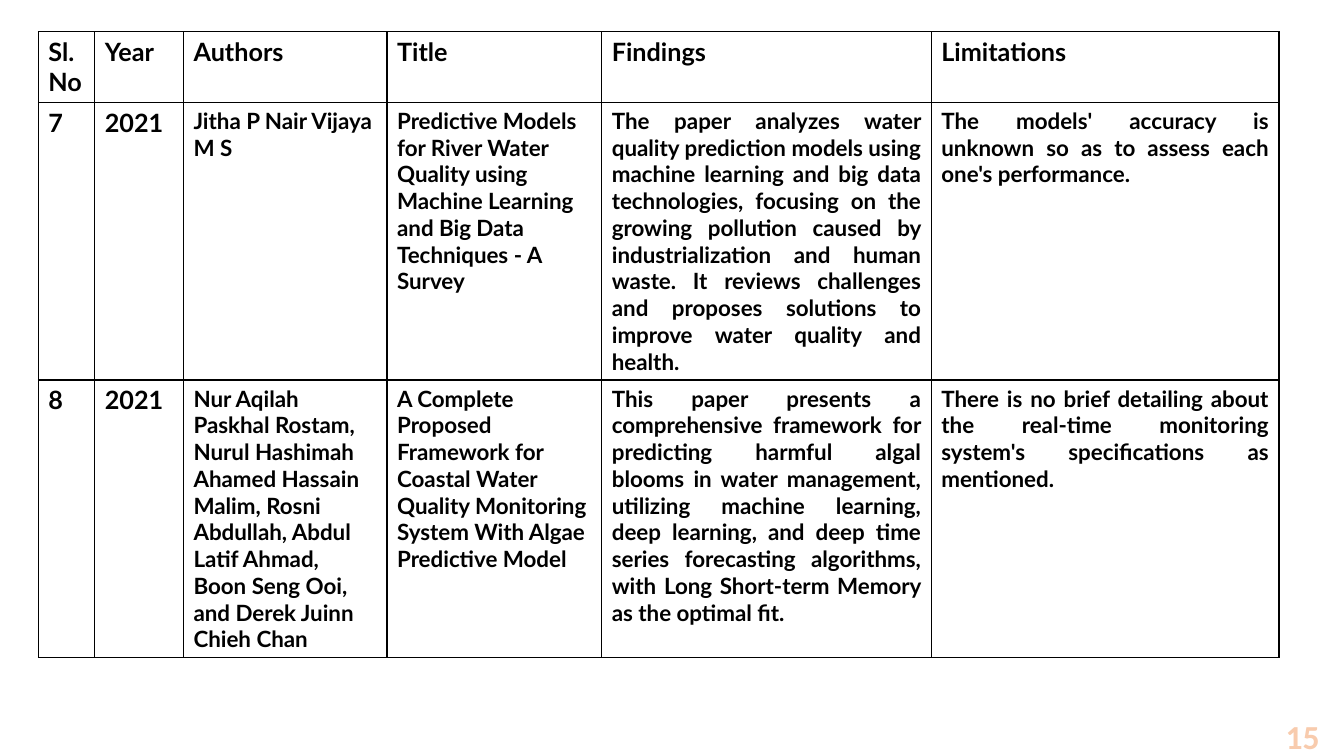
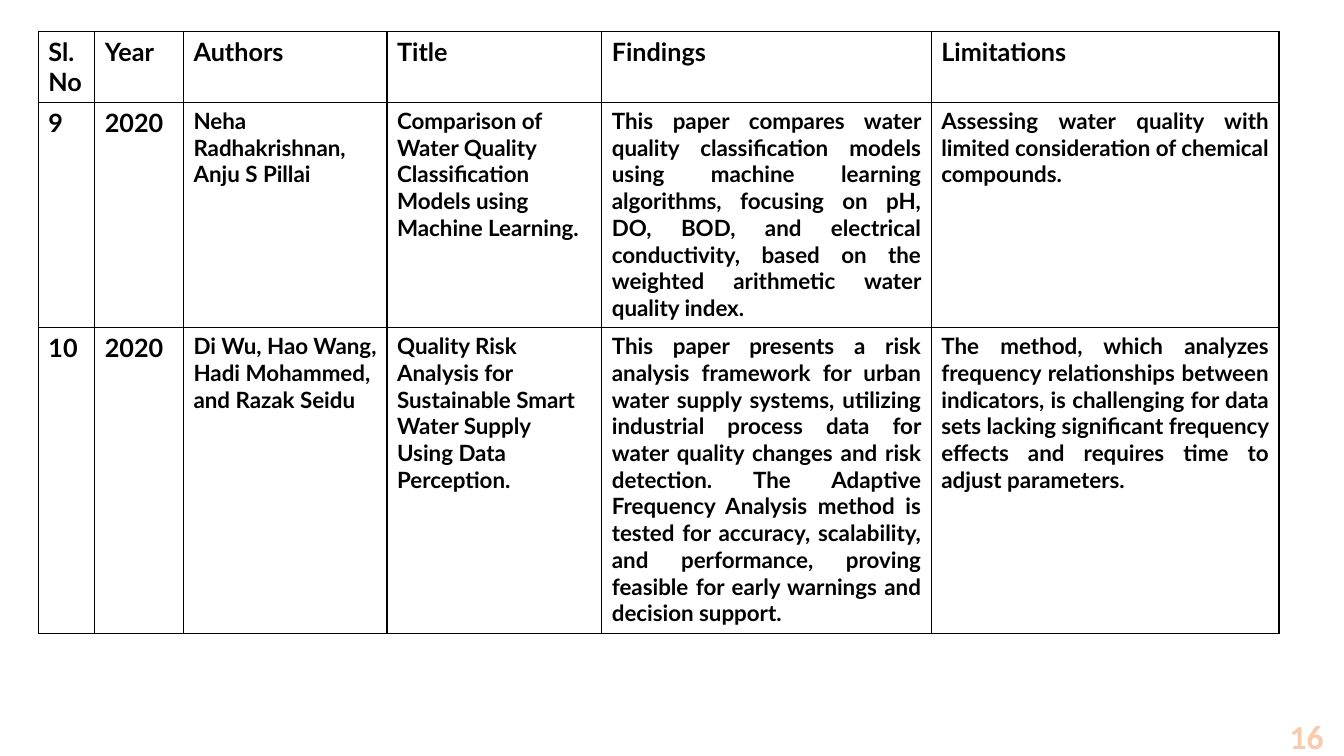
from lxml import etree
from pptx import Presentation
from pptx.dml.color import RGBColor
from pptx.enum.text import MSO_ANCHOR, PP_ALIGN
from pptx.oxml.ns import qn
from pptx.util import Pt

LEFT, RIGHT, JUSTIFY = PP_ALIGN.LEFT, PP_ALIGN.RIGHT, PP_ALIGN.JUSTIFY
MIDDLE = MSO_ANCHOR.MIDDLE

# Shared style
BLACK, PEACH, ORANGE = "000000", "F8CBAD", "ED7D31"
LARGE = {"name": "Lato", "size": Pt(18), "bold": True}
SMALL = {**LARGE, "size": Pt(16)}
PAGE = {"name": "Calibri", "size": Pt(24), "bold": True}
HEADERS = ["Sl.No", "Year", "Authors", "Title", "Findings", "Limitations"]
COLUMN_WIDTHS = [40.3, 63.4, 145.4, 153.4, 235.4, 248.4]
COLUMN_ALIGNS = [LEFT] * 4 + [JUSTIFY] * 2
LARGE_COLUMNS = 2  # number and year keep the header size
HEADER_HEIGHT = 50


def rgb(color):
    return RGBColor.from_string(color)


def add_line(parent, tag, color, width, index):
    ln = etree.Element(qn(tag), w=str(Pt(width)))
    fill = etree.SubElement(ln, qn("a:solidFill"))
    etree.SubElement(fill, qn("a:srgbClr"), val=color)
    parent.insert(index, ln)


class Deck:
    def __init__(self):
        self.prs = Presentation()
        self.prs.slide_width, self.prs.slide_height = Pt(960), Pt(540)
        self.slide = None

    def add_slide(self):
        self.slide = self.prs.slides.add_slide(self.prs.slide_layouts[6])

    def add_text(self, tf, text, style, color, align):
        tf.word_wrap = True
        p = tf.paragraphs[0]
        p.alignment = align
        r = p.add_run()
        r.text = text
        for name, value in style.items():
            setattr(r.font, name, value)
        r.font.color.rgb = rgb(color)
        return r

    def cell(self, cell, text, style, align):
        cell.fill.background()
        self.add_text(cell.text_frame, text, style, BLACK, align)
        for i, side in enumerate("LRTB"):
            add_line(cell._tc.get_or_add_tcPr(), f"a:ln{side}", BLACK, 1, i)

    def table(self, papers, heights):
        rows = [HEADERS, *papers]
        heights = [HEADER_HEIGHT, *heights]
        table = self.slide.shapes.add_table(
            len(rows), len(HEADERS), Pt(27.4), Pt(22.7),
            Pt(sum(COLUMN_WIDTHS)), Pt(sum(heights))).table
        table.first_row = table.horz_banding = False
        for column, width in zip(table.columns, COLUMN_WIDTHS):
            column.width = Pt(width)
        for i, (texts, height) in enumerate(zip(rows, heights)):
            table.rows[i].height = Pt(height)
            for j, text in enumerate(texts):
                style = LARGE if i == 0 or j < LARGE_COLUMNS else SMALL
                align = COLUMN_ALIGNS[j] if i else LEFT
                self.cell(table.cell(i, j), text, style, align)

    def page_number(self, number, left):
        sp = self.slide.shapes.add_textbox(Pt(left), Pt(511.2), Pt(216), Pt(28.8))
        tf = sp.text_frame
        tf.vertical_anchor = MIDDLE
        r = self.add_text(tf, str(number), PAGE, PEACH, RIGHT)
        add_line(r._r.get_or_add_rPr(), "a:ln", ORANGE, 1.75, 0)


# Content: page number, its left edge, row heights, papers
SURVEY = [
    (15, 733.7, [198, 198], [
        ["7", "2021", "Jitha P Nair Vijaya M S",
         "Predictive Models for River Water Quality using Machine Learning "
         "and Big Data Techniques - A Survey",
         "The paper analyzes water quality prediction models using machine "
         "learning and big data technologies, focusing on the growing "
         "pollution caused by industrialization and human waste. It reviews "
         "challenges and proposes solutions to improve water quality and "
         "health.",
         "The models' accuracy is unknown so as to assess each one's "
         "performance."],
        ["8", "2021",
         "Nur Aqilah Paskhal Rostam, Nurul Hashimah Ahamed Hassain Malim, "
         "Rosni Abdullah, Abdul Latif Ahmad, Boon Seng Ooi, and Derek Juinn "
         "Chieh Chan",
         "A Complete Proposed Framework for Coastal Water Quality Monitoring "
         "System With Algae Predictive Model",
         "This paper presents a comprehensive framework for predicting "
         "harmful algal blooms in water management, utilizing machine "
         "learning, deep learning, and deep time series forecasting "
         "algorithms, with Long Short-term Memory as the optimal fit.",
         "There is no brief detailing about the real-time monitoring "
         "system's specifications as mentioned."],
    ]),
    (16, 736.6, [160, 217], [
        ["9", "2020", "Neha Radhakrishnan, Anju S Pillai",
         "Comparison of Water Quality Classification Models using Machine "
         "Learning.",
         "This paper compares water quality classification models using "
         "machine learning algorithms, focusing on pH, DO, BOD, and "
         "electrical conductivity, based on the weighted arithmetic water "
         "quality index.",
         "Assessing water quality with limited consideration of chemical "
         "compounds."],
        ["10", "2020", "Di Wu, Hao Wang, Hadi Mohammed, and Razak Seidu",
         "Quality Risk Analysis for Sustainable Smart Water Supply Using "
         "Data Perception.",
         "This paper presents a risk analysis framework for urban water "
         "supply systems, utilizing industrial process data for water "
         "quality changes and risk detection. The Adaptive Frequency "
         "Analysis method is tested for accuracy, scalability, and "
         "performance, proving feasible for early warnings and decision "
         "support.",
         "The method, which analyzes frequency relationships between "
         "indicators, is challenging for data sets lacking significant "
         "frequency effects and requires time to adjust parameters."],
    ]),
]


def main():
    deck = Deck()
    for number, left, heights, papers in SURVEY:
        deck.add_slide()
        deck.table(papers, heights)
        deck.page_number(number, left)
    deck.prs.save("out.pptx")


if __name__ == "__main__":
    main()
